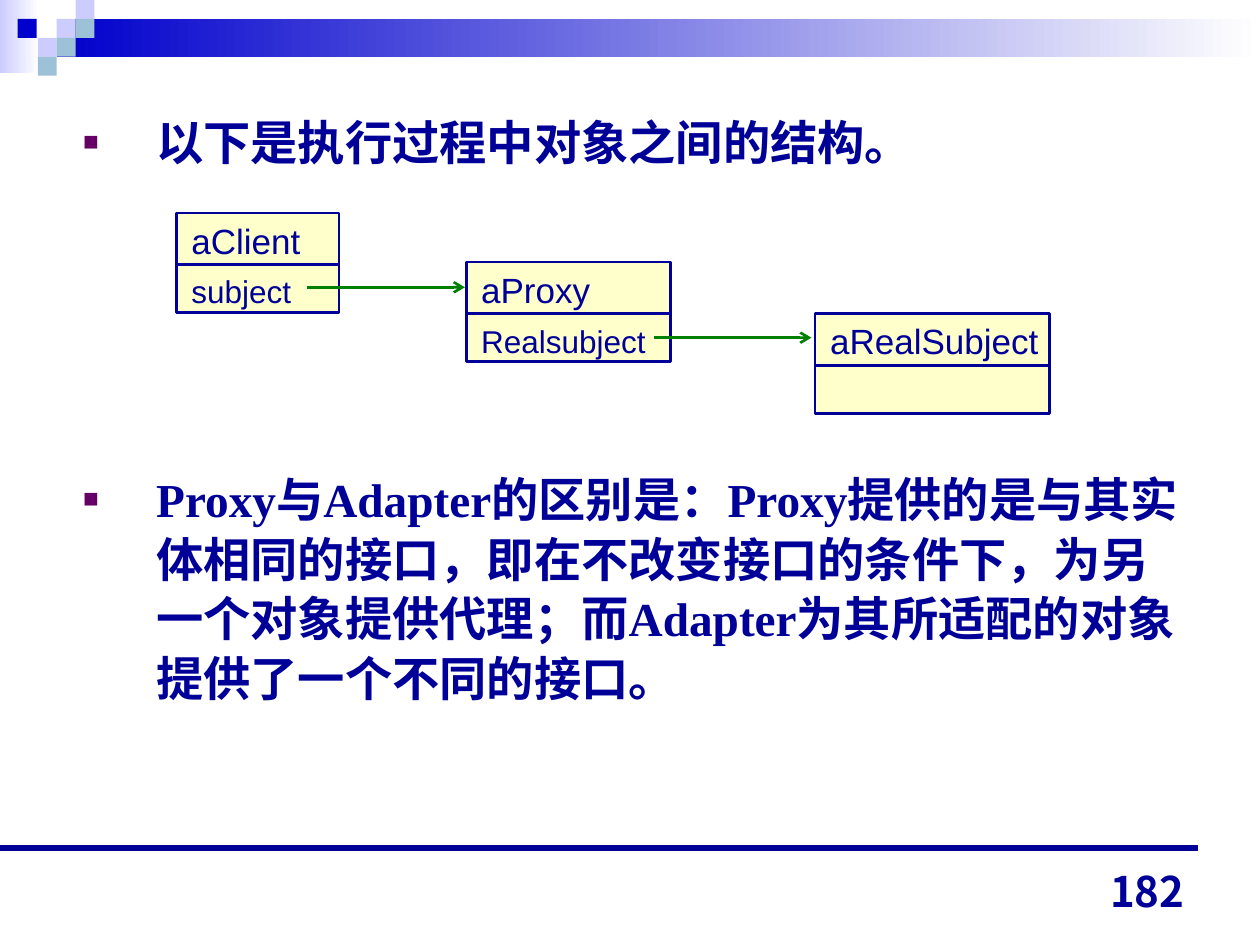
from lxml import etree
from pptx import Presentation
from pptx.dml.color import RGBColor
from pptx.enum.shapes import MSO_CONNECTOR as Connector, MSO_SHAPE as Shape
from pptx.enum.text import MSO_ANCHOR as Anchor, MSO_AUTO_SIZE as AutoSize, PP_ALIGN as Align
from pptx.oxml.ns import qn
from pptx.util import Inches, Pt

NAVY = RGBColor(0x00, 0x00, 0x99)
BLUE = RGBColor(0x00, 0x00, 0xCC)
LAVENDER = RGBColor(0xCC, 0xCC, 0xFF)
TEAL = RGBColor(0x9D, 0xC2, 0xD7)
CREAM = RGBColor(0xFF, 0xFF, 0xCC)
GREEN = RGBColor(0x00, 0x80, 0x00)
WHITE = RGBColor(0xFF, 0xFF, 0xFF)
BULLET_COLOR = "660066"
CJK_FONT = "Noto Sans CJK JP"
TILE = 0.15

BULLETS = [
    "以下是执行过程中对象之间的结构。",
    "Proxy与Adapter的区别是：Proxy提供的是与其实体相同的接口，即在不改变接口的条件下，"
    "为另一个对象提供代理；而Adapter为其所适配的对象提供了一个不同的接口。",
]
TILES = [
    (0.45, 0.15, LAVENDER), (0.6, 0, LAVENDER), (0.6, 0.15, TEAL),
    (0.3, 0.3, LAVENDER), (0.14, 0.15, BLUE), (0.45, 0.3, TEAL), (0.3, 0.45, TEAL),
]
OBJECTS = [
    (1.4, 1.69, 1.29, ["aClient", "subject"]),
    (3.7, 2.08, 1.62, ["aProxy", "Realsubject"]),
    (6.47, 2.49, 1.86, ["aRealSubject"]),
]
ARROWS = [(2.44, 2.28), (5.19, 2.68)]


def add_rectangle(slide, left, top, width, height, color):
    shape = slide.shapes.add_shape(
        Shape.RECTANGLE, Inches(left), Inches(top), Inches(width), Inches(height))
    shape.shadow.inherit = False
    shape.fill.solid()
    shape.fill.fore_color.rgb = color
    shape.line.fill.background()
    return shape


def add_gradient(slide, left, top, width, height, color):
    shape = add_rectangle(slide, left, top, width, height, color)
    shape.fill.gradient()
    shape.fill.gradient_angle = 180
    for stop, stop_color in zip(shape.fill.gradient_stops, (WHITE, color)):
        stop.color.rgb = stop_color


def add_line(slide, left, top, length, color=NAVY, width=1.5, arrow=False):
    line = slide.shapes.add_connector(
        Connector.STRAIGHT, Inches(left), Inches(top), Inches(left + length), Inches(top))
    line.line.color.rgb = color
    line.line.width = Pt(width)
    if arrow:
        etree.SubElement(line.line._get_or_add_ln(), qn("a:tailEnd"), type="arrow")
    etree.SubElement(line._element.spPr, qn("a:effectLst"))


def set_font(paragraph, name, size, bold=False):
    paragraph.font.name = name
    paragraph.font.size = Pt(size)
    paragraph.font.bold = bold
    paragraph.font.color.rgb = NAVY


def add_text_box(slide, left, top, width, height):
    box = slide.shapes.add_textbox(
        Inches(left), Inches(top), Inches(width), Inches(height))
    box.text_frame.word_wrap = True
    return box.text_frame


def add_bullet(paragraph):
    properties = paragraph._p.get_or_add_pPr()
    properties.set("marL", str(Inches(0.58)))
    properties.set("indent", str(-Inches(0.58)))
    color = etree.SubElement(properties, qn("a:buClr"))
    etree.SubElement(color, qn("a:srgbClr"), val=BULLET_COLOR)
    etree.SubElement(properties, qn("a:buSzPct"), val="55000")
    etree.SubElement(properties, qn("a:buFont"), typeface="Arial")
    etree.SubElement(properties, qn("a:buChar"), char="■")


def add_decoration(slide):
    add_gradient(slide, 0, 0, 0.31, 0.58, LAVENDER)
    add_gradient(slide, 0.45, 0.15, 9.55, 0.3, BLUE)
    for left, top, color in TILES:
        add_rectangle(slide, left, top, TILE, TILE, color)
    add_line(slide, 0, 6.73, 9.51, width=3.25)


def fill_body(body):
    body.left, body.top = Inches(0.56), Inches(0.83)
    body.width, body.height = Inches(9), Inches(5.66)
    frame = body.text_frame
    frame.auto_size = AutoSize.NONE
    frame.text = "\n".join(BULLETS)
    for paragraph, space in zip(frame.paragraphs, (0, 170)):
        paragraph.alignment = Align.LEFT
        paragraph.line_spacing = Pt(34)
        paragraph.space_before = Pt(space)
        add_bullet(paragraph)
        set_font(paragraph, "Times New Roman", 27, bold=True)
        for run in paragraph.runs:
            etree.SubElement(run._r.get_or_add_rPr(), qn("a:ea"), typeface=CJK_FONT)


def add_object(slide, left, top, width, labels):
    shape = add_rectangle(slide, left, top, width, 0.79, CREAM)
    shape.line.color.rgb = NAVY
    shape.line.width = Pt(1.5)
    add_line(slide, left, top + 0.41, width)
    frame = add_text_box(slide, left + 0.02, top, width - 0.02, 0.4 * len(labels))
    frame.margin_right = 0
    frame.text = "\n".join(labels)
    for paragraph, size, space in zip(frame.paragraphs, (20, 18), (0, 6.5)):
        paragraph.space_before = Pt(space)
        set_font(paragraph, "Arial", size)


def add_page_number(slide, number):
    frame = add_text_box(slide, 7.17, 6.82, 2.33, 0.5)
    frame.vertical_anchor = Anchor.BOTTOM
    frame.text = number
    paragraph = frame.paragraphs[0]
    paragraph.alignment = Align.RIGHT
    set_font(paragraph, CJK_FONT, 24, bold=True)


def main():
    presentation = Presentation()
    presentation.slide_width, presentation.slide_height = Inches(10), Inches(7.5)
    slide = presentation.slides.add_slide(presentation.slide_layouts[1])
    title = slide.shapes.title._element
    title.getparent().remove(title)
    add_decoration(slide)
    fill_body(slide.placeholders[1])
    for left, top, width, labels in OBJECTS:
        add_object(slide, left, top, width, labels)
    for left, top in ARROWS:
        add_line(slide, left, top, 1.25, color=GREEN, arrow=True)
    add_page_number(slide, "182")
    presentation.save("out.pptx")


if __name__ == "__main__":
    main()
